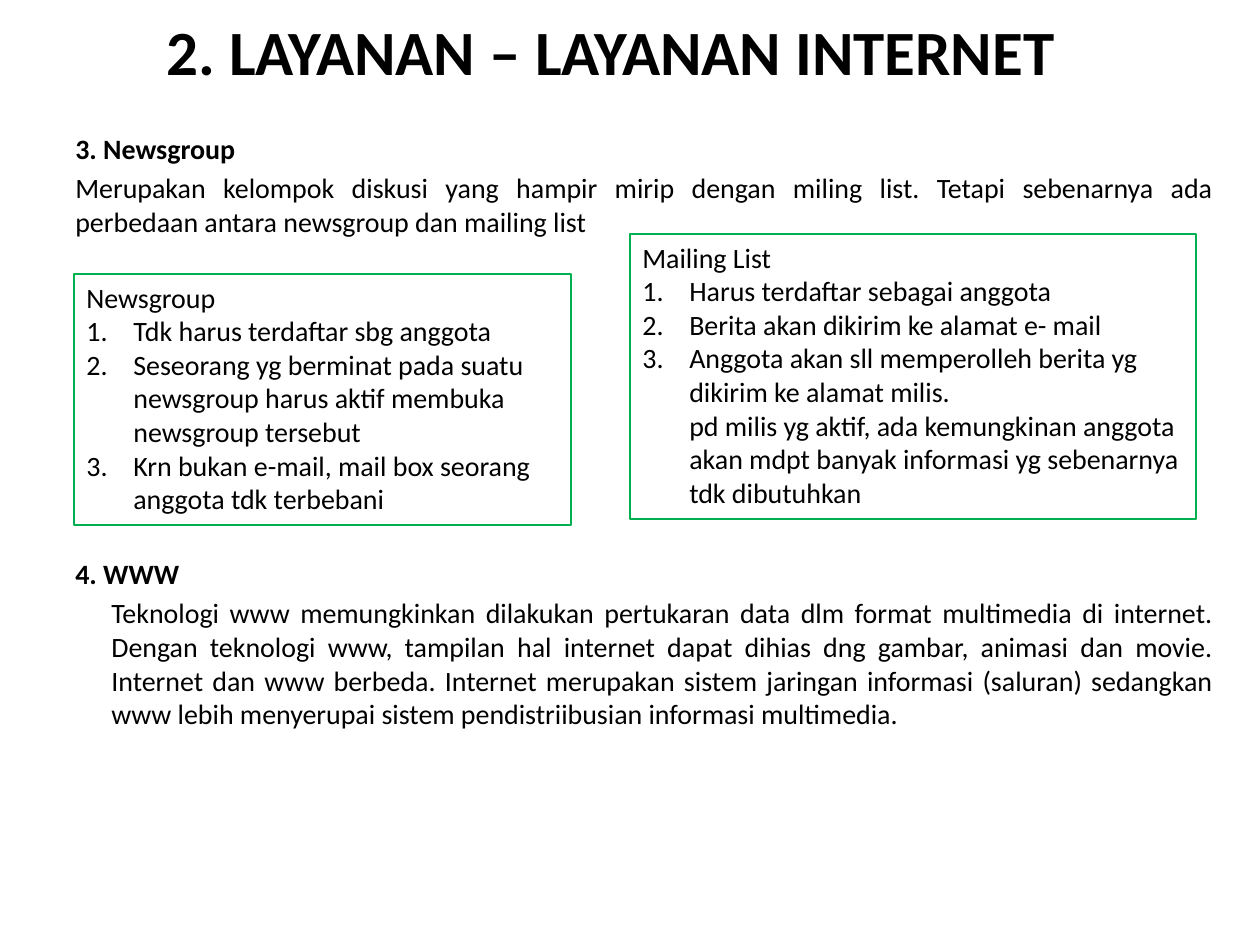
from dataclasses import dataclass
from lxml.etree import SubElement
from pptx import Presentation
from pptx.dml.color import RGBColor
from pptx.enum.shapes import MSO_SHAPE
from pptx.enum.text import MSO_ANCHOR, PP_ALIGN
from pptx.oxml.ns import qn
from pptx.util import Pt

SCALE = 914400 // 126


@dataclass(frozen=True)
class Theme:
    font: str = "Calibri"
    ink: RGBColor = RGBColor(0, 0, 0)
    edge: RGBColor = RGBColor(0x00, 0xB0, 0x50)
    head: int = 36
    body: int = 16
    gap: float = 3.4


THEME = Theme()


def px(*vals):
    return [round(val * SCALE) for val in vals]


def write(frame, text, size=THEME.body, bold=False, align=PP_ALIGN.LEFT,
          before=0, left=0, number=None):
    """Add one paragraph; number gives it a hanging list number."""
    first = frame.paragraphs[0]
    para = frame.add_paragraph() if first.runs else first
    para.alignment = align
    para.space_before = Pt(before)
    run = para.add_run()
    run.text = text
    font = run.font
    font.name, font.size, font.bold = THEME.font, Pt(size), bold
    font.color.rgb = THEME.ink
    props = para._p.get_or_add_pPr()
    margin = px(left)[0]
    props.set("marL", str(margin))
    props.set("indent", str(-margin if number else 0))
    if number:
        SubElement(props, qn("a:buFont"), typeface="+mj-lt")
        SubElement(props, qn("a:buAutoNum"), type="arabicPeriod",
                   startAt=str(number))


def text_box(slide, box):
    frame = slide.shapes.add_textbox(*px(*box)).text_frame
    frame.word_wrap = True
    return frame


def title(slide, box, text):
    write(text_box(slide, box), text, size=THEME.head, bold=True)


def body(slide, box, parts):
    """Headed sections; each part is heading, text, space above, indent."""
    frame = text_box(slide, box)
    for head, text, above, left in parts:
        write(frame, head, bold=True, align=PP_ALIGN.JUSTIFY, before=above)
        write(frame, text, align=PP_ALIGN.JUSTIFY, before=THEME.gap, left=left)


def card(slide, box, head, items, tail=None):
    """Outlined box with a heading, a numbered list and a closing text."""
    shape = slide.shapes.add_shape(MSO_SHAPE.RECTANGLE, *px(*box))
    shape.shadow.inherit = False
    shape.fill.background()
    shape.line.color.rgb = THEME.edge
    shape.line.width = Pt(0.75)
    frame = shape.text_frame
    frame.word_wrap = True
    frame.vertical_anchor = MSO_ANCHOR.TOP
    write(frame, head)
    for number, item in enumerate(items, 1):
        write(frame, item, left=47, number=number)
    if tail:
        write(frame, tail, left=47)


deck = Presentation()
deck.slide_width, deck.slide_height = px(1260, 945)
slide = deck.slides.add_slide(deck.slide_layouts[6])

# Sections, with room for the two cards between them
body(slide, (63, 125, 1163, 665), [
    ("3. Newsgroup",
     "Merupakan kelompok diskusi yang hampir mirip dengan miling list. "
     "Tetapi sebenarnya ada perbedaan antara newsgroup dan mailing list",
     0, 0),
    ("4. WWW",
     "Teknologi www memungkinkan dilakukan pertukaran data dlm format "
     "multimedia di internet. Dengan teknologi www, tampilan hal internet "
     "dapat dihias dng gambar, animasi dan movie. Internet dan www berbeda. "
     "Internet merupakan sistem jaringan informasi (saluran) sedangkan www "
     "lebih menyerupai sistem pendistriibusian informasi multimedia.",
     182, 36),
])

# Comparison cards
card(slide, (74, 274, 497, 251), "Newsgroup", [
    "Tdk harus terdaftar sbg anggota",
    "Seseorang yg berminat pada suatu newsgroup harus aktif membuka "
    "newsgroup tersebut",
    "Krn bukan e-mail, mail box seorang anggota tdk terbebani",
])
card(slide, (630, 234, 566, 285), "Mailing List", [
    "Harus terdaftar sebagai anggota",
    "Berita akan dikirim ke alamat e- mail",
    "Anggota akan sll memperolleh berita yg dikirim ke alamat milis.",
], tail="pd milis yg aktif, ada kemungkinan anggota akan mdpt banyak "
        "informasi yg sebenarnya tdk dibutuhkan")

# Title
title(slide, (154, 6, 935, 89), "2. LAYANAN – LAYANAN INTERNET")

deck.save("out.pptx")
